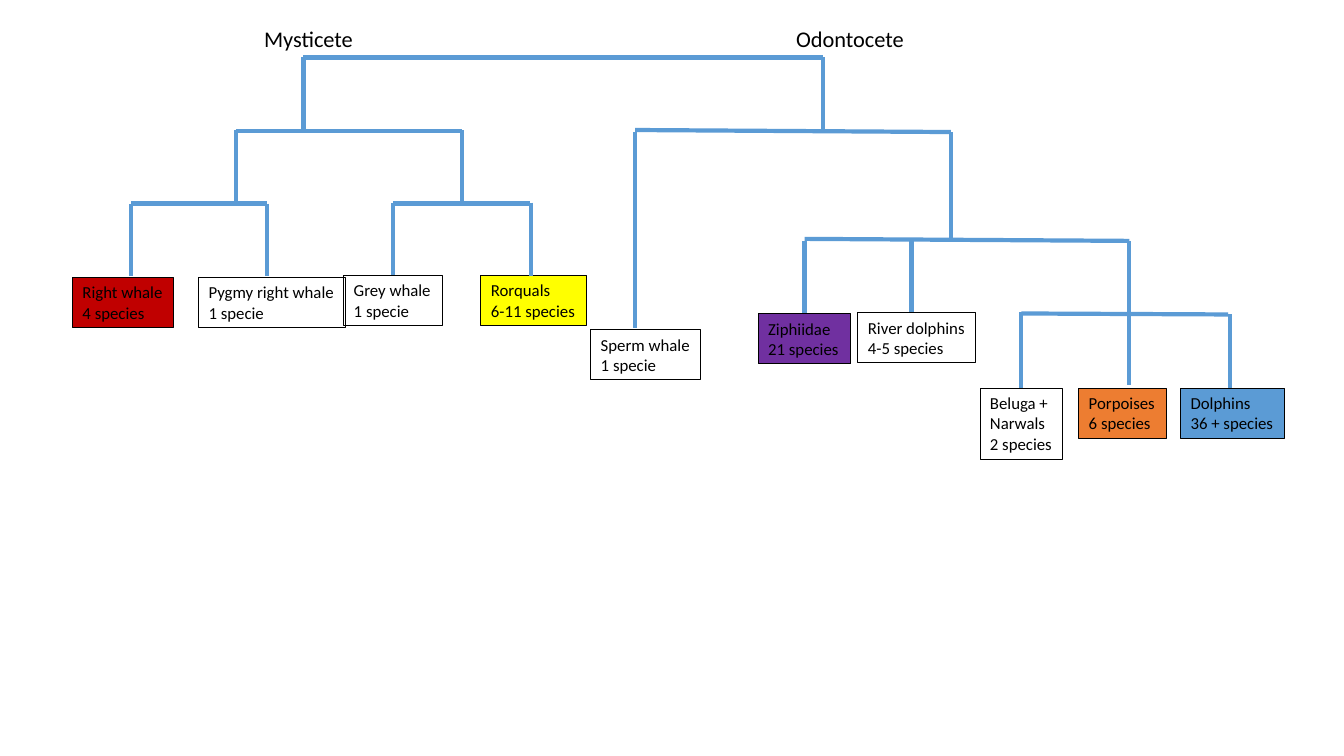
from lxml import etree
from pptx import Presentation
from pptx.dml.color import RGBColor
from pptx.enum.shapes import MSO_CONNECTOR
from pptx.enum.text import MSO_ANCHOR, MSO_AUTO_SIZE, PP_ALIGN
from pptx.oxml.ns import qn
from pptx.util import Pt

STRAIGHT = MSO_CONNECTOR.STRAIGHT
TOP, CENTER = MSO_ANCHOR.TOP, PP_ALIGN.CENTER
GROW, NO_FIT = MSO_AUTO_SIZE.SHAPE_TO_FIT_TEXT, MSO_AUTO_SIZE.NONE
BLACK = RGBColor(0x00, 0x00, 0x00)
RED = RGBColor(0xC0, 0x00, 0x00)
YELLOW = RGBColor(0xFF, 0xFF, 0x00)
PURPLE = RGBColor(0x70, 0x30, 0xA0)
ORANGE = RGBColor(0xED, 0x7D, 0x31)
BLUE = RGBColor(0x5B, 0x9B, 0xD5)
EMU_PER_PX = 9144  # 100 px to the inch

# Suborder headings: (name, centre x)
HEADINGS = [("Mysticete", 306), ("Odontocete", 843)]
HEADING_TOP, HEADING_WIDTH, HEADING_HEIGHT = 23, 200, 34

# Families: (lines, left, top, width, height, fill)
FAMILIES = [
    (("Right whale", "4 species"), 72, 275, 100, 50, RED),
    (("Pygmy right whale", "1 specie"), 197, 275, 146, 50, None),
    (("Grey whale", "1 specie"), 341, 273, 98, 50, None),
    (("Rorquals", "6-11 species"), 477, 273, 105, 50, YELLOW),
    (("Sperm whale", "1 specie"), 586, 327, 109, 50, None),
    (("Ziphiidae", "21 species"), 752, 311, 92, 50, PURPLE),
    (("River dolphins", "4-5 species"), 851, 310, 117, 50, None),
    (("Porpoises", "6 species"), 1070, 385, 87, 50, ORANGE),
    (("Beluga +", "Narwals", "2 species"), 972, 385, 82, 71, None),
    (("Dolphins", "36 + species"), 1171, 385, 103, 50, BLUE),
]

# Forks: (bar left, left y, right, right y)
BARS = [
    (301, 57, 816, 57), (234, 130, 458, 130), (630, 129, 943, 131),
    (130, 202, 265, 202), (390, 202, 526, 202),
    (798, 237, 1120, 239), (1013, 311, 1218, 312),
]

# Vertical branches: (x, top, bottom)
BRANCHES = [
    (301, 57, 129), (816, 57, 129),
    (234, 129, 202), (458, 129, 202), (630, 131, 325), (943, 131, 237),
    (130, 202, 274), (265, 202, 274), (527, 201, 274),
    (904, 237, 310), (1120, 239, 311), (1120, 310, 382), (1220, 312, 385),
]

# Branches that meet a box at its top middle: (x, top, family)
JOINED_BRANCHES = [(390, 201, "Grey whale"), (798, 239, "Ziphiidae"),
                   (1013, 310, "Beluga +")]


def px(*lengths):
    return [length * EMU_PER_PX for length in lengths]


def apply(target, values):
    for name, value in values.items():
        setattr(target, name, value)


def style_font(font, size):
    apply(font, {"name": "Calibri", "size": Pt(size), "bold": False})
    font.color.rgb = BLACK


def add_heading(placeholder, name, centre):
    left, top, width, height = px(centre - HEADING_WIDTH // 2, HEADING_TOP,
                                  HEADING_WIDTH, HEADING_HEIGHT)
    apply(placeholder, {"left": left, "top": top, "width": width, "height": height})
    frame = placeholder.text_frame
    frame.text = name
    apply(frame, {"vertical_anchor": TOP, "auto_size": NO_FIT, "word_wrap": True})
    paragraph = frame.paragraphs[0]
    apply(paragraph, {"alignment": CENTER, "line_spacing": 0.9, "space_before": Pt(10)})
    style_font(paragraph.runs[0].font, 16)


def add_family(slide, lines, left, top, width, height, fill):
    box = slide.shapes.add_textbox(*px(left, top, width, height))
    if fill is not None:
        box.fill.solid()
        box.fill.fore_color.rgb = fill
    box.line.color.rgb = BLACK
    box.line.width = Pt(0.75)
    frame = box.text_frame
    frame.text = "\n".join(lines)
    apply(frame, {"word_wrap": False, "auto_size": GROW})
    for paragraph in frame.paragraphs:
        style_font(paragraph.runs[0].font, 12)
    return box


def add_line(slide, x1, y1, x2, y2):
    line = slide.shapes.add_connector(STRAIGHT, *px(x1, y1, x2, y2))
    line.line.color.rgb = BLUE
    line.line.width = Pt(3)
    etree.SubElement(line._element.spPr, qn("a:effectLst"))
    return line


def main():
    presentation = Presentation()
    presentation.slide_width, presentation.slide_height = px(1333, 750)
    slide = presentation.slides.add_slide(presentation.slide_layouts[0])

    # Headings in the title and subtitle placeholders
    for placeholder, heading in zip(slide.placeholders, HEADINGS):
        add_heading(placeholder, *heading)

    # Family boxes
    boxes = {family[0][0]: add_family(slide, *family) for family in FAMILIES}

    # Tree lines
    for bar in BARS:
        add_line(slide, *bar)
    for x, top, bottom in BRANCHES:
        add_line(slide, x, top, x, bottom)
    for x, top, family in JOINED_BRANCHES:
        add_line(slide, x, top, x, top).end_connect(boxes[family], 0)

    presentation.save("out.pptx")


if __name__ == "__main__":
    main()
